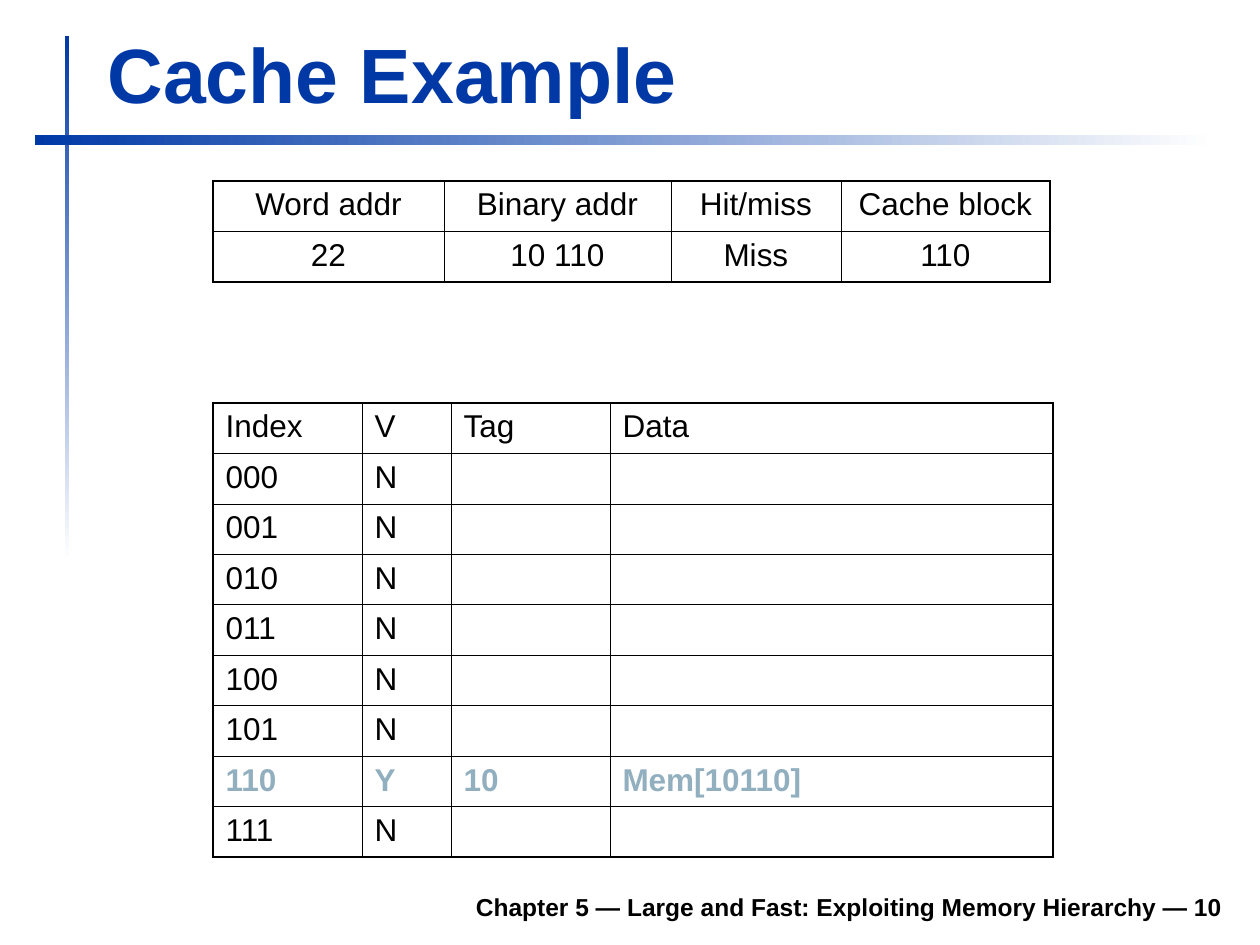
from dataclasses import dataclass

from lxml import etree
from pptx import Presentation, util as u
from pptx.dml.color import RGBColor
from pptx.enum import shapes, text
from pptx.oxml.ns import qn

PIXEL = u.Inches(1) // 126


@dataclass(frozen=True)
class Theme:
    """Colours, line widths and type sizes of the slide."""
    font: str = "Arial"
    blue: str = "0039A6"
    white: str = "FFFFFF"
    black: str = "000000"
    accent: str = "91AFBF"
    title: int = 44
    body: int = 18
    footer: int = 14
    outer: float = 1.08
    header: float = 0.74
    inner: float = 0.45


THEME = Theme()
LEFT, CENTER, RIGHT = text.PP_ALIGN.LEFT, text.PP_ALIGN.CENTER, text.PP_ALIGN.RIGHT

TITLE = "Cache Example"
FOOTER = "Chapter 5 — Large and Fast: Exploiting Memory Hierarchy — 10"
ACCESS_ROWS = [
    ("Word addr", "Binary addr", "Hit/miss", "Cache block"),
    ("22", "10 110", "Miss", "110"),
]
FILLED_BLOCKS = {"110": ("Y", "10", "Mem[10110]")}
CACHE_ROWS = [("Index", "V", "Tag", "Data")] + [
    (index, *FILLED_BLOCKS.get(index, ("N", "", "")))
    for index in (f"{number:03b}" for number in range(8))
]
# rows, left, top, column widths, alignment
TABLES = [
    (CACHE_ROWS, 213, 403, (149, 89, 159, 443), LEFT),
    (ACCESS_ROWS, 213, 181, (231, 227, 170, 209), CENTER),
]
ROW_HEIGHT = 50.4
# box, gradient angle (counter-clockwise)
RULES = [((65, 36, 4, 525), 270), ((35, 135, 1180, 10), 0)]


def px(*lengths):
    """Turn pixels into EMU."""
    return [u.Emu(round(length * PIXEL)) for length in lengths]


def write(frame, words, size, color, bold=False, align=LEFT):
    """Set the single paragraph of a text frame and format it."""
    frame.text = words
    paragraph = frame.paragraphs[0]
    paragraph.alignment = align
    for run in paragraph.runs:
        run.font.name = THEME.font
        run.font.size = u.Pt(size)
        run.font.bold = bold
        run.font.color.rgb = RGBColor.from_string(color)
    return paragraph


def add_rule(slide, box, angle):
    """Add a thin bar that fades from blue to white."""
    bar = slide.shapes.add_shape(shapes.MSO_SHAPE.RECTANGLE, *px(*box))
    bar.shadow.inherit = False
    bar.line.fill.background()
    bar.fill.gradient()
    bar.fill.gradient_angle = angle
    for stop, position, color in zip(bar.fill.gradient_stops, (0, 1), (THEME.blue, THEME.white)):
        stop.position = position
        stop.color.rgb = RGBColor.from_string(color)


def set_borders(cell, **widths):
    """Draw cell borders; widths are points keyed by side L, R, T, B."""
    properties = cell._tc.get_or_add_tcPr()
    for side, width in widths.items():
        line = etree.SubElement(properties, qn(f"a:ln{side}"), w=str(u.Pt(width)))
        fill = etree.SubElement(line, qn("a:solidFill"))
        etree.SubElement(fill, qn("a:srgbClr"), val=THEME.black)


def add_grid(slide, rows, left, top, widths, align):
    """Add a plain table with a heavier outline and header line."""
    box = px(left, top, sum(widths), ROW_HEIGHT * len(rows))
    table = slide.shapes.add_table(len(rows), len(widths), *box).table
    table.first_row = table.horz_banding = False
    for column, width in zip(table.columns, px(*widths)):
        column.width = width
    row_lines = [THEME.outer, THEME.header] + [THEME.inner] * (len(rows) - 2) + [THEME.outer]
    row_lines[-1] = THEME.outer
    column_lines = [THEME.outer] + [THEME.inner] * (len(widths) - 1) + [THEME.outer]
    for r, row in enumerate(rows):
        filled = row[0] in FILLED_BLOCKS
        color = THEME.accent if filled else THEME.black
        for c, words in enumerate(row):
            cell = table.cell(r, c)
            paragraph = write(cell.text_frame, words, THEME.body, color, filled, align)
            paragraph.space_before = u.Pt(4.5)
            set_borders(cell, L=column_lines[c], R=column_lines[c + 1],
                        T=row_lines[r], B=row_lines[r + 1])
            cell.fill.background()


def build():
    """Build the slide and save it."""
    presentation = Presentation()
    presentation.slide_width, presentation.slide_height = px(1260, 945)
    slide = presentation.slides.add_slide(presentation.slide_layouts[5])

    title = slide.shapes.title
    title.left, title.top, title.width, title.height = px(95, 20, 1138, 105)
    write(title.text_frame, TITLE, THEME.title, THEME.blue, bold=True)
    title.text_frame.vertical_anchor = text.MSO_ANCHOR.BOTTOM
    title.text_frame.auto_size = text.MSO_AUTO_SIZE.SHAPE_TO_FIT_TEXT

    for box, angle in RULES:
        add_rule(slide, box, angle)

    footer = slide.shapes.add_textbox(*px(233, 879, 1002, 49)).text_frame
    footer.word_wrap = True
    footer.vertical_anchor = text.MSO_ANCHOR.BOTTOM
    write(footer, FOOTER, THEME.footer, THEME.black, bold=True, align=RIGHT)

    for table in TABLES:
        add_grid(slide, *table)
    presentation.save("out.pptx")


build()
